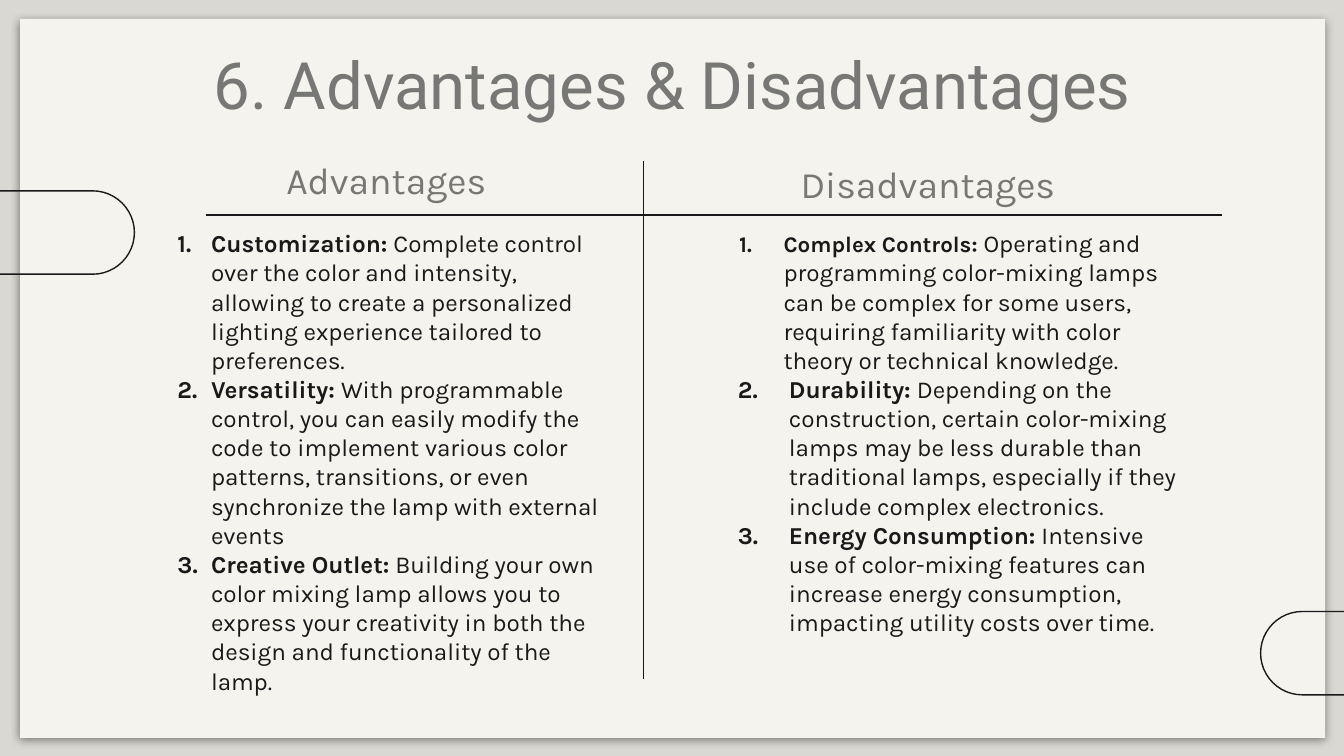
from dataclasses import dataclass

from lxml.etree import SubElement
from pptx import Presentation
from pptx.dml.color import RGBColor
from pptx.enum.shapes import MSO_CONNECTOR as Connector, MSO_SHAPE as Preset
from pptx.enum.text import MSO_ANCHOR as Anchor, MSO_AUTO_SIZE as AutoSize, PP_ALIGN as Align
from pptx.oxml.ns import qn
from pptx.shapes.autoshape import Shape
from pptx.slide import Slide
from pptx.text.text import _Paragraph as Paragraph
from pptx.util import Inches, Pt


@dataclass(frozen=True)
class Theme:
    backdrop: str = "D9D8D2"
    panel: str = "F5F3EE"
    ink: str = "191919"
    rule: str = "181818"
    heading: str = "777775"
    title_font: str = "Roboto"
    body_font: str = "Karla"
    title_size: float = 35
    heading_size: float = 20
    body_size: float = 13
    small_size: float = 12
    line_width: float = 0.75


@dataclass(frozen=True)
class Area:
    left: float
    top: float
    width: float
    height: float


@dataclass(frozen=True)
class Point:
    label: str
    detail: str
    margin: float
    hanging: float
    label_size: float


@dataclass(frozen=True)
class Column:
    heading: str
    heading_index: int
    heading_area: Area
    list_index: int
    list_area: Area
    points: tuple[Point, ...]


THEME = Theme()
TITLE = "6. Advantages & Disadvantages"
TITLE_AREA = Area(0.79, 0.23, 8.43, 0.97)
PANEL = Area(0.15, 0.14, 9.71, 5.35)
PILLS = (Area(9.38, 4.55, 3.04, 0.62), Area(-2.04, 1.42, 3.04, 0.62))
RULES = ((4.79, 1.2, 4.79, 5.05), (1.53, 1.6, 9.09, 1.6))

COLUMNS = (
    Column("Advantages", 1, Area(1.2, 1.07, 3.18, 0.53), 2, Area(1.05, 1.6, 3.51, 3.61), (
        Point("Customization: ",
              "Complete control over the color and intensity, allowing to create a "
              "personalized lighting experience tailored to preferences.",
              0.42, 0.25, THEME.body_size),
        Point("Versatility: ",
              "With programmable control, you can easily modify the code to implement "
              "various color patterns, transitions, or even synchronize the lamp with "
              "external events",
              0.42, 0.25, THEME.body_size),
        Point("Creative Outlet: ",
              "Building your own color mixing lamp allows you to express your creativity "
              "in both the design and functionality of the lamp.",
              0.42, 0.25, THEME.body_size),
    )),
    Column("Disadvantages", 3, Area(5.23, 1.1, 3.18, 0.53), 4, Area(5.23, 1.6, 3.71, 3.45), (
        Point("Complex Controls: ",
              "Operating and programming color-mixing lamps can be complex for some users, "
              "requiring familiarity with color theory or technical knowledge.",
              0.5, 0.33, THEME.small_size),
        Point("Durability: ",
              "Depending on the construction, certain color-mixing lamps may be less durable "
              "than traditional lamps, especially if they include complex electronics.",
              0.54, 0.38, THEME.body_size),
        Point("Energy Consumption: ",
              "Intensive use of color-mixing features can increase energy consumption, "
              "impacting utility costs over time.",
              0.54, 0.38, THEME.body_size),
    )),
)


def color(value: str) -> RGBColor:
    return RGBColor.from_string(value)


def add_box(page: Slide, preset: Preset, area: Area) -> Shape:
    box = page.shapes.add_shape(preset, Inches(area.left), Inches(area.top),
                                Inches(area.width), Inches(area.height))
    box.shadow.inherit = False
    return box


def add_panel(page: Slide) -> None:
    box = add_box(page, Preset.RECTANGLE, PANEL)
    box.fill.solid()
    box.fill.fore_color.rgb = color(THEME.panel)
    box.line.fill.background()
    effects = box._element.spPr.find(qn("a:effectLst"))
    shadow = SubElement(effects, qn("a:outerShdw"), blurRad=str(Pt(4.5)), dist=str(Pt(1.5)),
                        dir="5400000", algn="bl", rotWithShape="0")
    tint = SubElement(shadow, qn("a:srgbClr"), val=THEME.ink)
    SubElement(tint, qn("a:alpha"), val="50000")


def add_pill(page: Slide, area: Area) -> None:
    box = add_box(page, Preset.ROUNDED_RECTANGLE, area)
    box.adjustments[0] = 0.5
    box.fill.background()
    box.line.color.rgb = color(THEME.ink)
    box.line.width = Pt(THEME.line_width)


def add_rule(page: Slide, ends: tuple[float, ...]) -> None:
    rule = page.shapes.add_connector(Connector.STRAIGHT, *map(Inches, ends))
    rule.line.color.rgb = color(THEME.rule)
    rule.line.width = Pt(THEME.line_width)
    SubElement(rule._element.spPr, qn("a:effectLst"))


def place_text(page: Slide, index: int, area: Area, anchor: Anchor) -> Shape:
    box = page.placeholders[index]
    page.shapes._spTree.append(box._element)
    box.left, box.top = Inches(area.left), Inches(area.top)
    box.width, box.height = Inches(area.width), Inches(area.height)
    frame = box.text_frame
    frame.word_wrap = True
    frame.auto_size = AutoSize.NONE
    frame.vertical_anchor = anchor
    frame.margin_left = frame.margin_right = Inches(0.1)
    frame.margin_top = frame.margin_bottom = Inches(0.1)
    return box


def indent(para: Paragraph, margin: float, hanging: float) -> None:
    properties = para._p.get_or_add_pPr()
    properties.set("marL", str(Inches(margin)))
    properties.set("indent", str(-Inches(hanging)))


def style(para: Paragraph, align: Align, font: str, size: float, ink: str) -> None:
    para.alignment = align
    para.space_before = Pt(0)
    para.font.name = font
    para.font.size = Pt(size)
    para.font.color.rgb = color(ink)


def add_point(para: Paragraph, point: Point) -> None:
    indent(para, point.margin, point.hanging)
    properties = para._p.get_or_add_pPr()
    SubElement(SubElement(properties, qn("a:buClr")), qn("a:srgbClr"), val=THEME.ink)
    SubElement(properties, qn("a:buFont"), typeface=THEME.body_font)
    SubElement(properties, qn("a:buAutoNum"), type="arabicPeriod")
    style(para, Align.LEFT, THEME.body_font, THEME.body_size, THEME.ink)
    label = para.add_run()
    label.text = point.label
    label.font.bold = True
    label.font.size = Pt(point.label_size)
    detail = para.add_run()
    detail.text = point.detail


def add_column(page: Slide, column: Column) -> None:
    heading = place_text(page, column.heading_index, column.heading_area, Anchor.BOTTOM)
    heading.text_frame.text = column.heading
    para = heading.text_frame.paragraphs[0]
    indent(para, 0.5, 0.33)
    style(para, Align.CENTER, THEME.body_font, THEME.heading_size, THEME.heading)
    para.font.bold = False
    frame = place_text(page, column.list_index, column.list_area, Anchor.TOP).text_frame
    for number, point in enumerate(column.points):
        add_point(frame.add_paragraph() if number else frame.paragraphs[0], point)


def main() -> None:
    deck = Presentation()
    deck.slide_width = Inches(10)
    deck.slide_height = deck.slide_width * 9 // 16
    page = deck.slides.add_slide(deck.slide_layouts.get_by_name("Comparison"))
    page.background.fill.solid()
    page.background.fill.fore_color.rgb = color(THEME.backdrop)
    add_panel(page)
    for area in PILLS:
        add_pill(page, area)
    for column in COLUMNS:
        add_column(page, column)
    title = place_text(page, 0, TITLE_AREA, Anchor.TOP)
    title.text_frame.text = TITLE
    style(title.text_frame.paragraphs[0], Align.CENTER, THEME.title_font,
          THEME.title_size, THEME.heading)
    for ends in RULES:
        add_rule(page, ends)
    deck.save("out.pptx")


if __name__ == "__main__":
    main()
